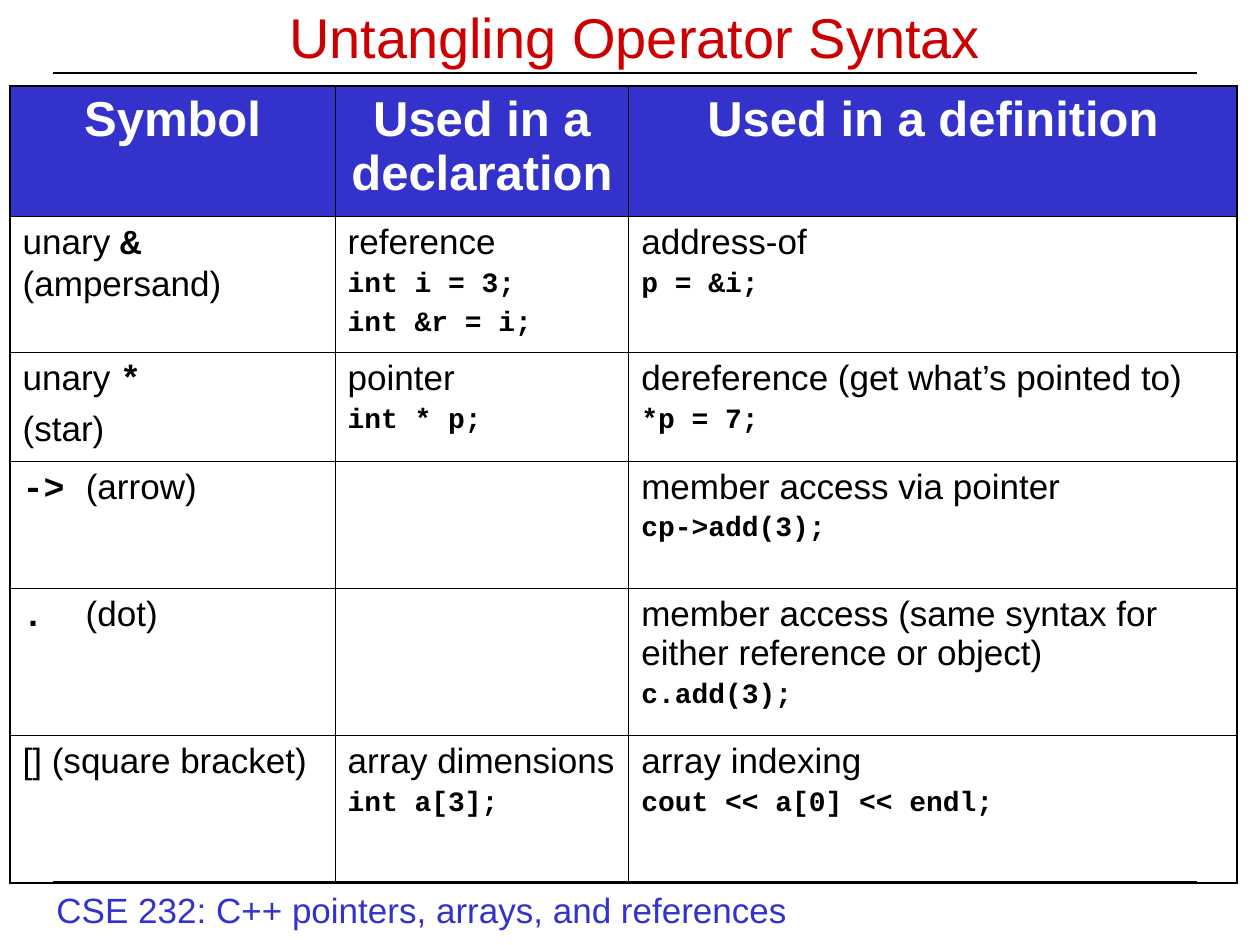
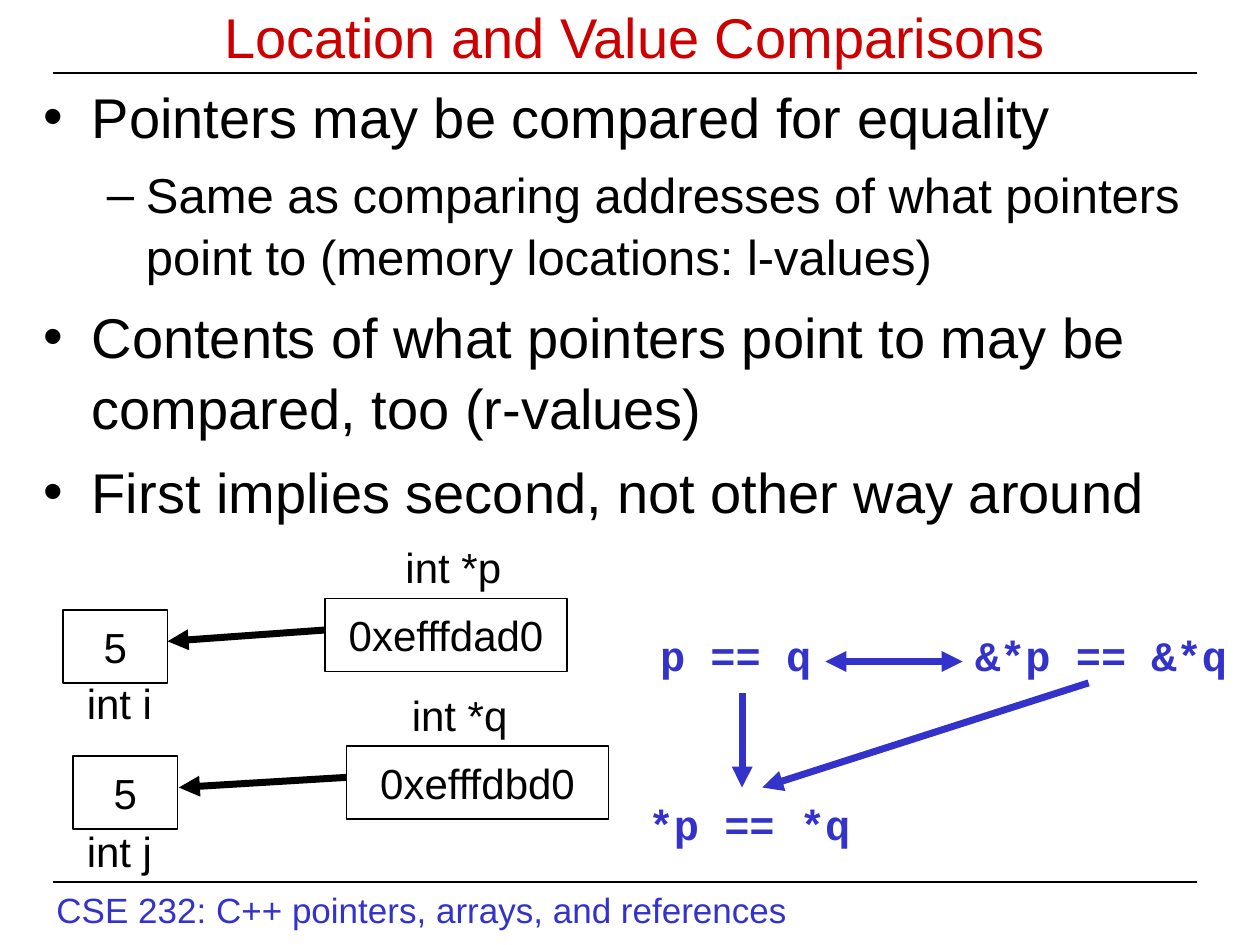
from typing import NamedTuple

from pptx import Presentation
from pptx.dml.color import RGBColor
from pptx.enum.shapes import MSO_CONNECTOR, MSO_SHAPE
from pptx.enum.text import MSO_ANCHOR, MSO_AUTO_SIZE, PP_ALIGN
from pptx.oxml.ns import qn
from pptx.util import Inches, Pt
from lxml import etree

BLACK = RGBColor(0x00, 0x00, 0x00)
WHITE = RGBColor(0xFF, 0xFF, 0xFF)
BLUE = RGBColor(0x33, 0x33, 0xCC)
RED = RGBColor(0xCC, 0x00, 0x00)
SANS, MONO = "Arial", "Courier New"
FOOTER = "CSE 232: C++ pointers, arrays, and references"
RULE_LEFT, RULE_RIGHT, RULE_HEIGHTS = 0.42, 9.5, (7, 0.58)
OUTER_BORDER, INNER_BORDER = 1.08, 0.45
LABEL_HEIGHT, BOX_HEIGHT = 0.5, 0.58
DIAGRAM_SIZE = 24


class Piece(NamedTuple):
    """A stretch of text in one format."""
    text: str
    size: int = 20
    font: str = SANS
    bold: bool = False
    color: RGBColor = BLACK


class Bullet(NamedTuple):
    mark: str
    size: int
    margin: float
    hanging: float


class Label(NamedTuple):
    text: str
    left: float
    top: float
    width: float


class Arrow(NamedTuple):
    start: tuple[float, float]
    end: tuple[float, float]
    color: RGBColor
    both_ends: bool = False


def code(text: str, size: int = 16) -> Piece:
    return Piece(text, size, MONO, True)


def symbol(text: str) -> Piece:
    return code(text, 20)


def heading(text: str) -> Piece:
    return Piece(text, 28, SANS, True, WHITE)


# Each cell is a list of paragraphs, each paragraph a list of pieces
COLUMN_WIDTHS = (2.58, 2.33, 4.83)
ROW_HEIGHTS = (1.04, 1.08, 0.86, 1.01, 1.17, 1.17)
OPERATOR_ROWS = [
    [[[heading("Symbol")]], [[heading("Used in a declaration")]],
     [[heading("Used in a definition")]]],
    [[[Piece("unary "), symbol("&"), Piece(" (ampersand)")]],
     [[Piece("reference")], [code("int i = 3;")], [code("int &r = i;")]],
     [[Piece("address-of")], [code("p = &i;")]]],
    [[[Piece("unary "), symbol("*")], [Piece("(star)")]],
     [[Piece("pointer")], [code("int * p;")]],
     [[Piece("dereference (get what’s pointed to)")], [code("*p = 7;")]]],
    [[[symbol("-> "), Piece("(arrow)")]],
     [],
     [[Piece("member access via pointer")], [code("cp->add(3);")]]],
    [[[symbol(".\t"), Piece("(dot)")]],
     [],
     [[Piece("member access (same syntax for either reference or object)")],
      [code("c.add(3);")]]],
    [[[Piece("[] (square bracket)")]],
     [[Piece("array dimensions")], [code("int a[3];")]],
     [[Piece("array indexing")], [code("cout << a[0] << endl;")]]],
]

POINT = Bullet("•", 32, 0.38, 0.38)
SUBPOINT = Bullet("–", 28, 0.81, 0.31)
COMPARISON_POINTS = [
    (POINT, "Pointers may be compared for equality"),
    (SUBPOINT, "Same as comparing addresses of what pointers point to "
               "(memory locations: l-values)"),
    (POINT, "Contents of what pointers point to may be compared, too (r-values)"),
    (POINT, "First implies second, not other way around"),
]

EXPRESSIONS = [
    Label("p == q", 5.14, 4.95, 1.4),
    Label("&*p == &*q", 7.64, 4.95, 2.2),
    Label("*p == *q", 5.05, 6.29, 1.8),
]
MEMORY_BOXES = [
    Label("0xefffdad0", 2.58, 4.75, 1.92),
    Label("5", 0.5, 4.84, 0.83),
    Label("5", 0.58, 6, 0.83),
    Label("0xefffdbd0", 2.75, 5.92, 2.08),
]
VARIABLE_NAMES = [
    Label("int i", 0.59, 5.33, 0.72),
    Label("int *p", 3.12, 4.25, 0.96),
    Label("int j", 0.59, 6.5, 0.72),
    Label("int *q", 3.17, 5.42, 0.96),
]
ARROWS = [
    Arrow((5.89, 5.5), (5.89, 6.25), BLUE),
    Arrow((8.64, 5.42), (6.05, 6.25), BLUE),
    Arrow((6.55, 5.25), (7.64, 5.25), BLUE, both_ends=True),
    Arrow((2.58, 5), (1.33, 5.09), BLACK),
    Arrow((2.75, 6.17), (1.42, 6.25), BLACK),
]


def set_attributes(target, values: dict) -> None:
    for name, value in values.items():
        setattr(target, name, value)


def add_piece(paragraph, piece: Piece) -> None:
    run = paragraph.add_run()
    run.text = piece.text
    set_attributes(run.font, {"name": piece.font, "size": Pt(piece.size),
                              "bold": piece.bold})
    run.font.color.rgb = piece.color


def next_paragraph(frame, index: int, size: int):
    """Return a paragraph whose space before is a quarter of its text size."""
    paragraph = frame.add_paragraph() if index else frame.paragraphs[0]
    paragraph.space_before = Pt(size / 4)
    return paragraph


def add_label(slide, label: Label, piece: Piece, height: float = LABEL_HEIGHT) -> None:
    box = slide.shapes.add_textbox(Inches(label.left), Inches(label.top),
                                   Inches(label.width), Inches(height))
    set_attributes(box.text_frame, {"word_wrap": False,
                                    "auto_size": MSO_AUTO_SIZE.SHAPE_TO_FIT_TEXT})
    add_piece(box.text_frame.paragraphs[0], piece)


def add_line(slide, start: tuple[float, float], end: tuple[float, float],
             color: RGBColor, width: float, ends: tuple[str, ...] = ()) -> None:
    connector = slide.shapes.add_connector(
        MSO_CONNECTOR.STRAIGHT, *(Inches(value) for value in (*start, *end)))
    connector.line.color.rgb = color
    connector.line.width = Pt(width)
    properties = connector.element.spPr
    for end_tag in ends:
        etree.SubElement(properties.find(qn("a:ln")), qn(end_tag), type="triangle")
    etree.SubElement(properties, qn("a:effectLst"))


def add_titled_slide(presentation, title_text: str):
    """Add a slide with the shared title, rules and footer."""
    slide = presentation.slides.add_slide(presentation.slide_layouts[5])
    title = slide.shapes.title
    set_attributes(title, {"left": Inches(0.5), "top": Inches(0),
                           "width": Inches(9.08), "height": Inches(0.58)})
    set_attributes(title.text_frame, {"vertical_anchor": MSO_ANCHOR.MIDDLE,
                                      "auto_size": MSO_AUTO_SIZE.NONE,
                                      "margin_top": 0, "margin_bottom": 0})
    paragraph = title.text_frame.paragraphs[0]
    paragraph.alignment = PP_ALIGN.CENTER
    add_piece(paragraph, Piece(title_text, 32, color=RED))
    for height in RULE_HEIGHTS:
        add_line(slide, (RULE_LEFT, height), (RULE_RIGHT, height), BLACK, 0.75)
    add_label(slide, Label(FOOTER, 0.35, 7, 6), Piece(FOOTER, color=BLUE), 0.44)
    return slide


def set_borders(cell, widths: dict[str, float]) -> None:
    properties = cell._tc.get_or_add_tcPr()
    for position, (side, width) in enumerate(widths.items()):
        border = etree.Element(qn(f"a:ln{side}"), w=str(Pt(width)))
        fill = etree.SubElement(border, qn("a:solidFill"))
        etree.SubElement(fill, qn("a:srgbClr"), val=str(BLACK))
        properties.insert(position, border)


def fill_cell(cell, paragraphs: list[list[Piece]], is_header: bool) -> None:
    if is_header:
        cell.fill.solid()
        cell.fill.fore_color.rgb = BLUE
    else:
        cell.fill.background()
    for index, pieces in enumerate(paragraphs):
        paragraph = next_paragraph(cell.text_frame, index, pieces[0].size)
        paragraph.alignment = PP_ALIGN.CENTER if is_header else PP_ALIGN.LEFT
        for piece in pieces:
            add_piece(paragraph, piece)
        if any("\t" in piece.text for piece in pieces):
            stops = etree.SubElement(paragraph._p.get_or_add_pPr(), qn("a:tabLst"))
            etree.SubElement(stops, qn("a:tab"), pos=str(Inches(0.5)), algn="l")


def add_operator_table(slide) -> None:
    table = slide.shapes.add_table(
        len(ROW_HEIGHTS), len(COLUMN_WIDTHS), Inches(0.08), Inches(0.68),
        Inches(sum(COLUMN_WIDTHS)), Inches(sum(ROW_HEIGHTS))).table
    set_attributes(table, {"first_row": False, "horz_banding": False})
    for column, width in zip(table.columns, COLUMN_WIDTHS):
        column.width = Inches(width)
    for row, height in zip(table.rows, ROW_HEIGHTS):
        row.height = Inches(height)
    last_row, last_column = len(ROW_HEIGHTS) - 1, len(COLUMN_WIDTHS) - 1
    for row_index, contents in enumerate(OPERATOR_ROWS):
        for column_index, paragraphs in enumerate(contents):
            cell = table.cell(row_index, column_index)
            fill_cell(cell, paragraphs, row_index == 0)
            on_edge = {"L": column_index == 0, "R": column_index == last_column,
                       "T": row_index == 0, "B": row_index == last_row}
            set_borders(cell, {side: OUTER_BORDER if outer else INNER_BORDER
                               for side, outer in on_edge.items()})


def add_bullets(slide) -> None:
    body = slide.shapes.add_textbox(Inches(0.25), Inches(0.58),
                                    Inches(9.58), Inches(6.33))
    body.text_frame.word_wrap = True
    for index, (bullet, text) in enumerate(COMPARISON_POINTS):
        paragraph = next_paragraph(body.text_frame, index, bullet.size)
        set_attributes(paragraph, {"line_spacing": 1.05,
                                   "level": int(bullet is SUBPOINT)})
        properties = paragraph._p.get_or_add_pPr()
        properties.set("marL", str(Inches(bullet.margin)))
        properties.set("indent", str(-Inches(bullet.hanging)))
        etree.SubElement(properties, qn("a:buFont"), typeface=SANS)
        etree.SubElement(properties, qn("a:buChar"), char=bullet.mark)
        add_piece(paragraph, Piece(text, bullet.size))


def add_memory_box(slide, label: Label) -> None:
    box = slide.shapes.add_shape(MSO_SHAPE.RECTANGLE, Inches(label.left),
                                 Inches(label.top), Inches(label.width),
                                 Inches(BOX_HEIGHT))
    box.shadow.inherit = False
    box.fill.solid()
    box.fill.fore_color.rgb = WHITE
    box.line.color.rgb = BLACK
    box.line.width = Pt(0.75)
    set_attributes(box.text_frame, {"word_wrap": False,
                                    "vertical_anchor": MSO_ANCHOR.MIDDLE})
    paragraph = box.text_frame.paragraphs[0]
    paragraph.alignment = PP_ALIGN.CENTER
    add_piece(paragraph, Piece(label.text, DIAGRAM_SIZE))


def add_pointer_diagram(slide) -> None:
    for label in EXPRESSIONS:
        add_label(slide, label, Piece(label.text, DIAGRAM_SIZE, MONO, True, BLUE))
    for label in MEMORY_BOXES:
        add_memory_box(slide, label)
    for label in VARIABLE_NAMES:
        add_label(slide, label, Piece(label.text, DIAGRAM_SIZE))
    for arrow in ARROWS:
        ends = ("a:headEnd", "a:tailEnd") if arrow.both_ends else ("a:tailEnd",)
        add_line(slide, arrow.start, arrow.end, arrow.color, 4, ends)


def main() -> None:
    presentation = Presentation()
    set_attributes(presentation, {"slide_width": Inches(10),
                                  "slide_height": Inches(7.5)})

    # Operator table
    add_operator_table(add_titled_slide(presentation, "Untangling Operator Syntax"))

    # Pointer comparisons
    comparison_slide = add_titled_slide(presentation, "Location and Value Comparisons")
    add_bullets(comparison_slide)
    add_pointer_diagram(comparison_slide)

    presentation.save("out.pptx")


if __name__ == "__main__":
    main()
